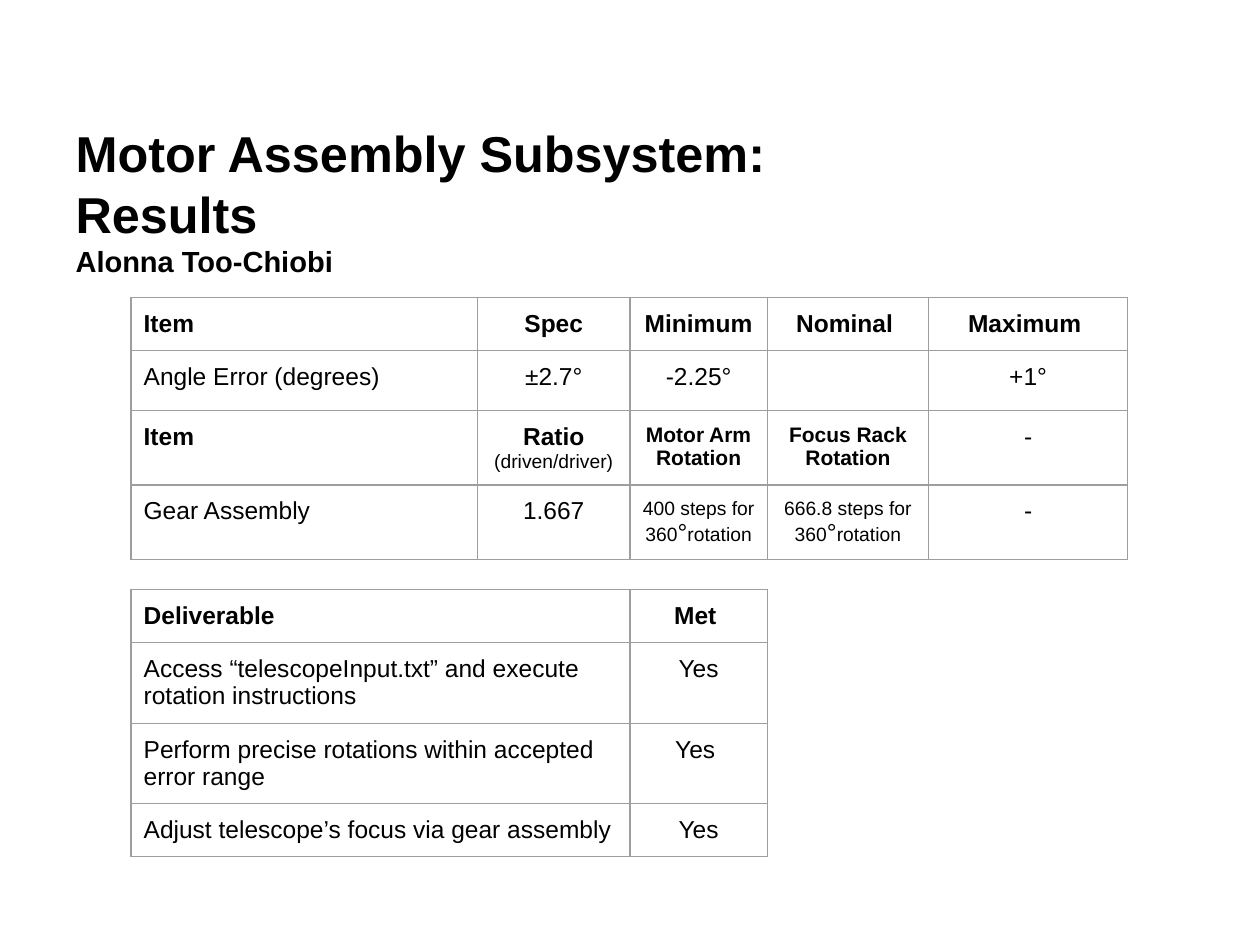
from lxml.etree import SubElement
from pptx import Presentation
from pptx.dml.color import RGBColor
from pptx.enum.text import MSO_ANCHOR, MSO_AUTO_SIZE, PP_ALIGN
from pptx.oxml.ns import qn
from pptx.util import Inches, Pt


def color(value):
    return RGBColor.from_string(value)


def write(paragraph, text, size=14, bold=False, fill="000000", font="Arial"):
    run = paragraph.add_run()
    run.text = text
    run.font.name = font
    run.font.size = Pt(size)
    run.font.bold = bold
    run.font.color.rgb = color(fill)


def bold(text, size=14):
    return [(text, {"size": size, "bold": True})]


def plain(text, size=14):
    return [(text, {"size": size})]


def rotation(steps):
    return plain(f"{steps} steps for 360", 11) + plain("°") + plain("rotation", 11)


class SlideBuilder:
    border_color = "9E9E9E"
    border_width = 0.75
    background = "FFFFFF"
    inset = Inches(0.1)

    def __init__(self, presentation):
        self.width = presentation.slide_width
        self.height = presentation.slide_height
        self.slide = presentation.slides.add_slide(presentation.slide_layouts[5])

    def place(self, left, top, width, height):
        return (round(left * self.width), round(top * self.height),
                round(width * self.width), round(height * self.height))

    def title(self, box, lines):
        shape = self.slide.shapes.title
        shape.left, shape.top, shape.width, shape.height = self.place(*box)
        frame = shape.text_frame
        frame.auto_size = MSO_AUTO_SIZE.NONE
        frame.vertical_anchor = MSO_ANCHOR.MIDDLE
        for index, (text, size) in enumerate(lines):
            paragraph = frame.add_paragraph() if index else frame.paragraphs[0]
            paragraph.alignment = PP_ALIGN.LEFT
            write(paragraph, text, size=size, bold=True)

    def border(self, cell):
        properties = cell._tc.get_or_add_tcPr()
        for position, side in enumerate(("lnL", "lnR", "lnT", "lnB")):
            line = properties.makeelement(qn(f"a:{side}"), {"w": str(Pt(self.border_width))})
            fill = SubElement(line, qn("a:solidFill"))
            SubElement(fill, qn("a:srgbClr"), val=self.border_color)
            properties.insert(position, line)

    def cell(self, cell, runs, centered):
        cell.margin_left = cell.margin_right = self.inset
        cell.margin_top = cell.margin_bottom = self.inset
        cell.fill.solid()
        cell.fill.fore_color.rgb = color(self.background)
        self.border(cell)
        paragraph = cell.text_frame.paragraphs[0]
        paragraph.alignment = PP_ALIGN.CENTER if centered else PP_ALIGN.LEFT
        paragraph.font.size = Pt(14)
        for text, style in runs:
            write(paragraph, text, **style)

    def table(self, left, top, columns, rows, contents):
        box = self.place(left, top, sum(columns), sum(rows))
        table = self.slide.shapes.add_table(len(rows), len(columns), *box).table
        table.first_row = table.horz_banding = False
        for column, share in zip(table.columns, columns):
            column.width = round(share * self.width)
        for row, share, values in zip(table.rows, rows, contents):
            row.height = round(share * self.height)
            for index, (cell, runs) in enumerate(zip(row.cells, values)):
                self.cell(cell, runs, centered=index > 0)


def main():
    presentation = Presentation()
    presentation.slide_width = Inches(10)
    presentation.slide_height = Inches(7.5)
    builder = SlideBuilder(presentation)

    builder.title((0.05, 1.15 / 7.5, 0.9, 0.88 / 7.5), [
        ("Motor Assembly Subsystem:", 28.8),
        ("Results", 28.8),
        ("Alonna Too-Chiobi", 16.6),
    ])

    item, spec, minimum, nominal, maximum = 0.275, 0.121, 0.109, 0.128, 0.158
    left = 0.104
    single, medium, double, deliverable = (h / 7.5 for h in (0.42, 0.48, 0.59, 0.64))

    builder.table(left, 2.36 / 7.5, [item, spec, minimum, nominal, maximum],
                  [single, medium, double, double], [
        [bold(text) for text in ("Item", "Spec", "Minimum", "Nominal ", "Maximum ")],
        [plain("Angle Error (degrees)"), plain("±2.7°"), plain("-2.25°"), [], plain("+1°")],
        [bold("Item"), bold("Ratio ") + plain("(driven/driver)", 11),
         bold("Motor Arm Rotation", 12), bold("Focus Rack Rotation", 12), plain("-")],
        [plain("Gear Assembly"), plain("1.667"), rotation("400"), rotation("666.8"), plain("-")],
    ])

    builder.table(left, 4.68 / 7.5, [item + spec, minimum],
                  [single, deliverable, deliverable, single], [
        [bold("Deliverable"), bold("Met ")],
        [plain("Access “telescopeInput.txt” and execute rotation instructions"), plain("Yes")],
        [plain("Perform precise rotations within accepted error range"), plain("Yes ")],
        [plain("Adjust telescope’s focus via gear assembly"), plain("Yes")],
    ])

    presentation.save("out.pptx")


if __name__ == "__main__":
    main()
